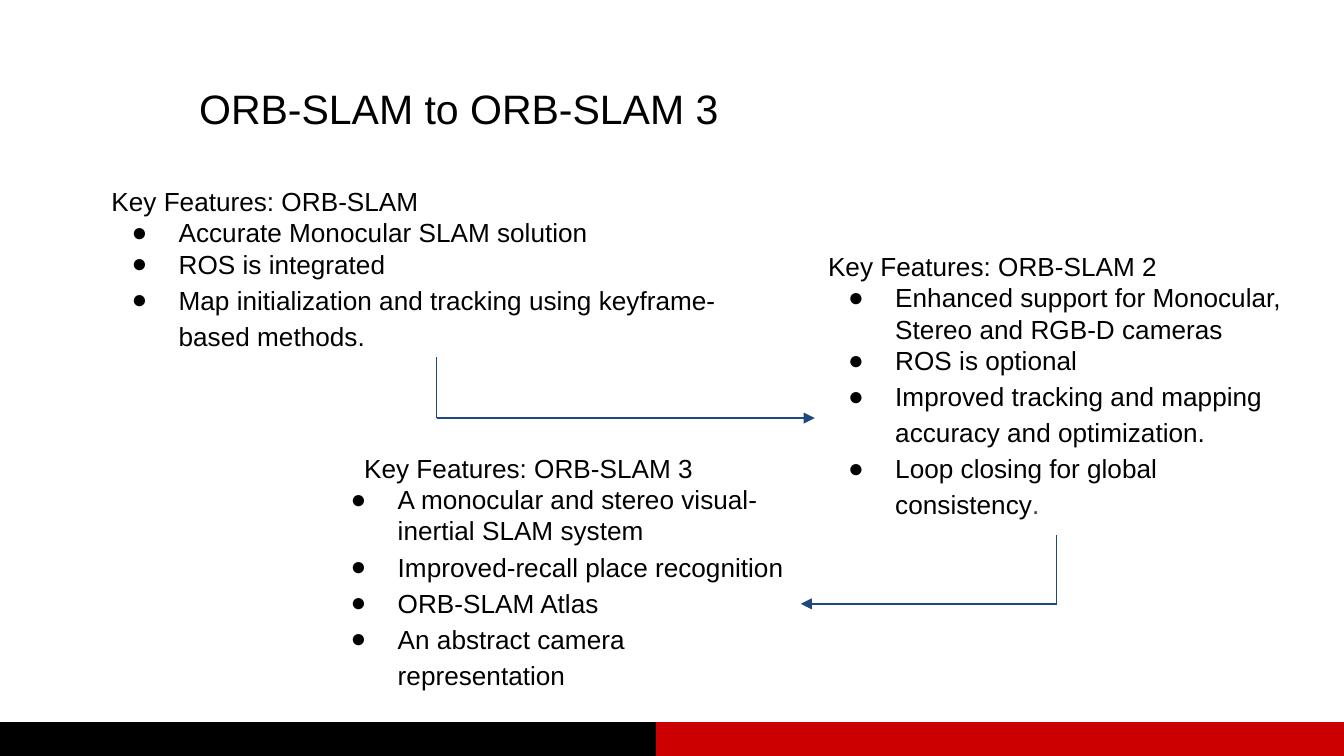
from lxml import etree
from pptx import Presentation
from pptx.dml.color import RGBColor
from pptx.enum.shapes import MSO_CONNECTOR
from pptx.enum.text import MSO_ANCHOR, MSO_AUTO_SIZE, PP_ALIGN
from pptx.oxml.ns import qn
from pptx.util import Pt

STRAIGHT = MSO_CONNECTOR.STRAIGHT
TOP, BOTTOM = MSO_ANCHOR.TOP, MSO_ANCHOR.BOTTOM
NO_AUTOFIT = MSO_AUTO_SIZE.NONE
LEFT = PP_ALIGN.LEFT
BOTTOM_SITE, LEFT_SITE, RIGHT_SITE = 2, 1, 3

COLORS = {"text": "000000", "stop": "374151", "arrow": "1F497D",
          "black": "000000", "red": "CC0000"}
FONT = "Arial"
LOOSE = 1.15
BULLET_INDENT = (36, -25.2)

TITLE = "ORB-SLAM to ORB-SLAM 3"
TITLE_PLACE = (99.5, 24.5, 411, 54)

# place: left, top, width, height; heading: text, line spacing, (margin, indent)
# features: text, line spacing
VERSIONS = [
    {"place": (52.5, 92, 363, 99.5),
     "heading": ("Key Features: ORB-SLAM", 1, (0, 0)),
     "features": [
         ("Accurate Monocular SLAM solution", 1),
         ("ROS is integrated", 1),
         ("Map initialization and tracking using keyframe-based methods.", LOOSE)]},
    {"place": (436.5, 124.5, 259, 199),
     "heading": ("Key Features: ORB-SLAM 2", LOOSE, (0, 0)),
     "features": [
         ("Enhanced support for Monocular, Stereo and RGB-D cameras", 1),
         ("ROS is optional", 1),
         ("Improved tracking and mapping accuracy and optimization.", LOOSE),
         ("Loop closing for global consistency", LOOSE)],
     "stop": "."},
    {"place": (170, 232.5, 259, 182),
     "heading": ("Key Features: ORB-SLAM 3", LOOSE, (36, -18)),
     "features": [
         ("A monocular and stereo visual-inertial SLAM system", 1),
         ("Improved-recall place recognition", LOOSE),
         ("ORB-SLAM Atlas", LOOSE),
         ("An abstract camera representation", LOOSE)]},
]

BAR_Y, BAR_SPLIT = 396, 351.5
BARS = [(0, BAR_SPLIT, "black"), (BAR_SPLIT, 720, "red")]
LOWER_RISE = 37


def set_format(target, values):
    for name, value in values.items():
        setattr(target, name, value)


def place_shape(shape, place):
    set_format(shape, dict(zip(("left", "top", "width", "height"), map(Pt, place))))


def prepare_frame(frame, anchor):
    set_format(frame, {"word_wrap": True, "auto_size": NO_AUTOFIT,
                       "vertical_anchor": anchor})
    for side in ("left", "top", "right", "bottom"):
        setattr(frame, f"margin_{side}", Pt(7.2))


def add_run(paragraph, text, size, color="text"):
    run = paragraph.add_run()
    run.text = text
    set_format(run.font, {"name": FONT, "size": Pt(size)})
    run.font.color.rgb = RGBColor.from_string(COLORS[color])


def set_bullet(paragraph, char, indent):
    """Set margin, hanging indent and bullet; no char means no bullet."""
    properties = paragraph._p.get_or_add_pPr()
    for name, value in zip(("marL", "indent"), indent):
        properties.set(name, str(int(Pt(value))))
    if char:
        color = etree.SubElement(properties, qn("a:buClr"))
        etree.SubElement(color, qn("a:srgbClr"), val=COLORS["text"])
        etree.SubElement(properties, qn("a:buFont"), typeface=FONT)
        etree.SubElement(properties, qn("a:buChar"), char=char)
    else:
        etree.SubElement(properties, qn("a:buNone"))


def fill_version(shape, version):
    frame = shape.text_frame
    prepare_frame(frame, TOP)
    text, spacing, indent = version["heading"]
    rows = [(text, spacing, indent, None)]
    rows += [(*feature, BULLET_INDENT, "●") for feature in version["features"]]
    for i, (text, spacing, indent, char) in enumerate(rows):
        paragraph = frame.add_paragraph() if i else frame.paragraphs[0]
        set_bullet(paragraph, char, indent)
        set_format(paragraph, {"alignment": LEFT, "line_spacing": float(spacing),
                               "space_before": Pt(0), "space_after": Pt(0)})
        add_run(paragraph, text, 14)
    if "stop" in version:
        add_run(paragraph, version["stop"], 14, "stop")


def add_line(slide, start, end, color, width, arrow=False):
    line = slide.shapes.add_connector(STRAIGHT, *map(Pt, (*start, *end)))
    line.line.color.rgb = RGBColor.from_string(COLORS[color])
    line.line.width = Pt(width)
    if arrow:
        etree.SubElement(line.line._get_or_add_ln(), qn("a:tailEnd"), type="triangle")
    etree.SubElement(line._element.spPr, qn("a:effectLst"))
    return line


def main():
    deck = Presentation()
    set_format(deck, {"slide_width": Pt(720), "slide_height": Pt(405)})
    slide = deck.slides.add_slide(deck.slide_layouts[1])

    for start, end, color in BARS:
        add_line(slide, (start, BAR_Y), (end, BAR_Y), color, 18)

    title, body = slide.placeholders
    place_shape(title, TITLE_PLACE)
    prepare_frame(title.text_frame, BOTTOM)
    heading = title.text_frame.paragraphs[0]
    heading.alignment = LEFT
    add_run(heading, TITLE, 22)

    place_shape(body, VERSIONS[0]["place"])
    boxes = [body] + [slide.shapes.add_textbox(*map(Pt, version["place"]))
                      for version in VERSIONS[1:]]
    for box, version in zip(boxes, VERSIONS):
        fill_version(box, version)
    first, second, third = boxes

    left, top, width, height = VERSIONS[0]["place"]
    first_bottom = (left + width / 2, top + height)
    left, top, width, height = VERSIONS[1]["place"]
    second_left = (left, top + height / 2)
    second_bottom = (left + width / 2, top + height)
    left, top, width, height = VERSIONS[2]["place"]
    third_right = (left + width, top + height / 2)

    upper_corner = (first_bottom[0], second_left[1])
    down = add_line(slide, first_bottom, upper_corner, "arrow", 0.75)
    down.begin_connect(first, BOTTOM_SITE)
    to_second = add_line(slide, upper_corner, second_left, "arrow", 0.75, arrow=True)
    to_second.end_connect(second, LEFT_SITE)

    lower_start = (second_bottom[0], second_bottom[1] - LOWER_RISE)
    add_line(slide, lower_start, second_bottom, "arrow", 0.75).end_connect(
        second, BOTTOM_SITE)
    to_third = add_line(slide, second_bottom, third_right, "arrow", 0.75, arrow=True)
    to_third.begin_connect(second, BOTTOM_SITE)
    to_third.end_connect(third, RIGHT_SITE)

    deck.save("out.pptx")


if __name__ == "__main__":
    main()
